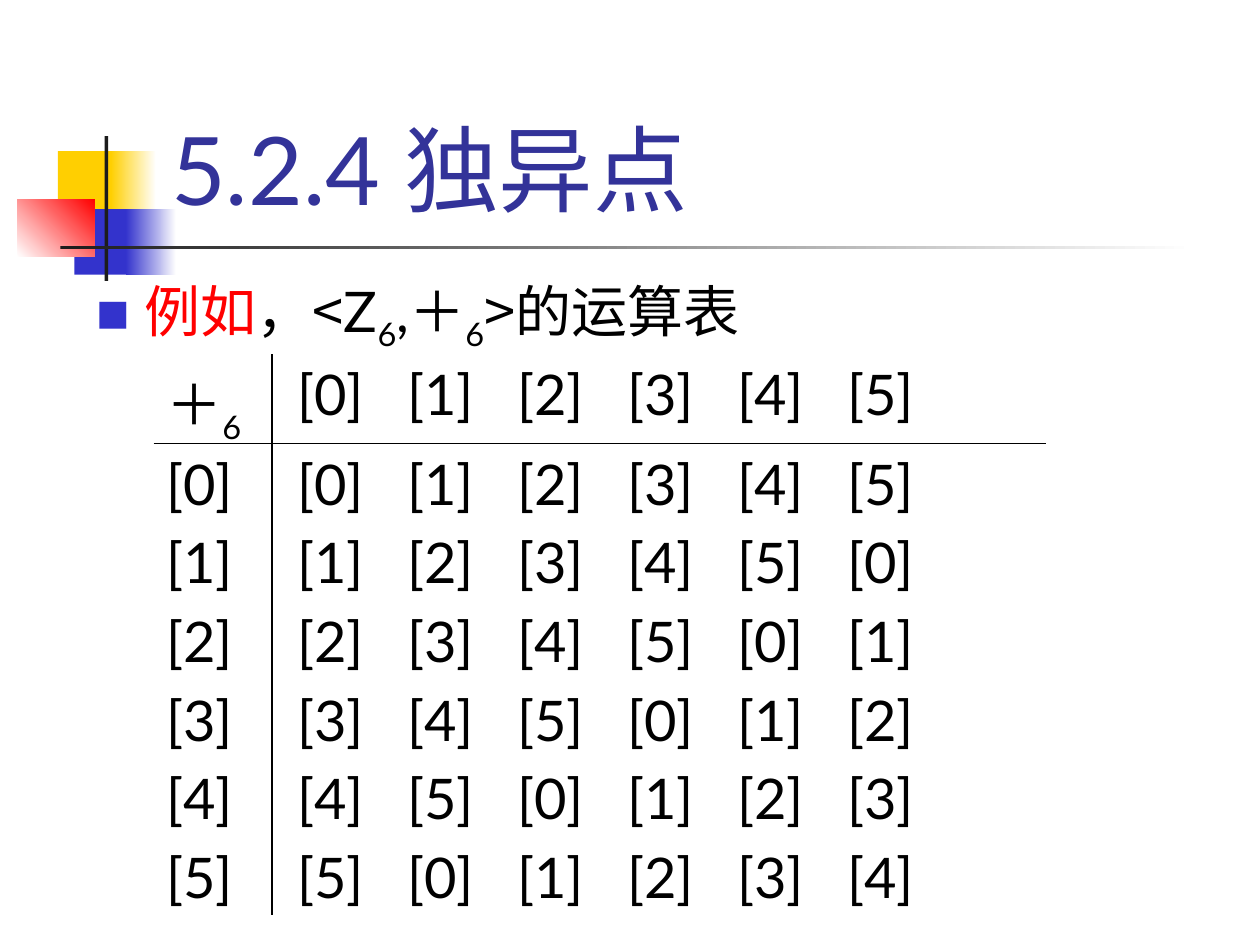
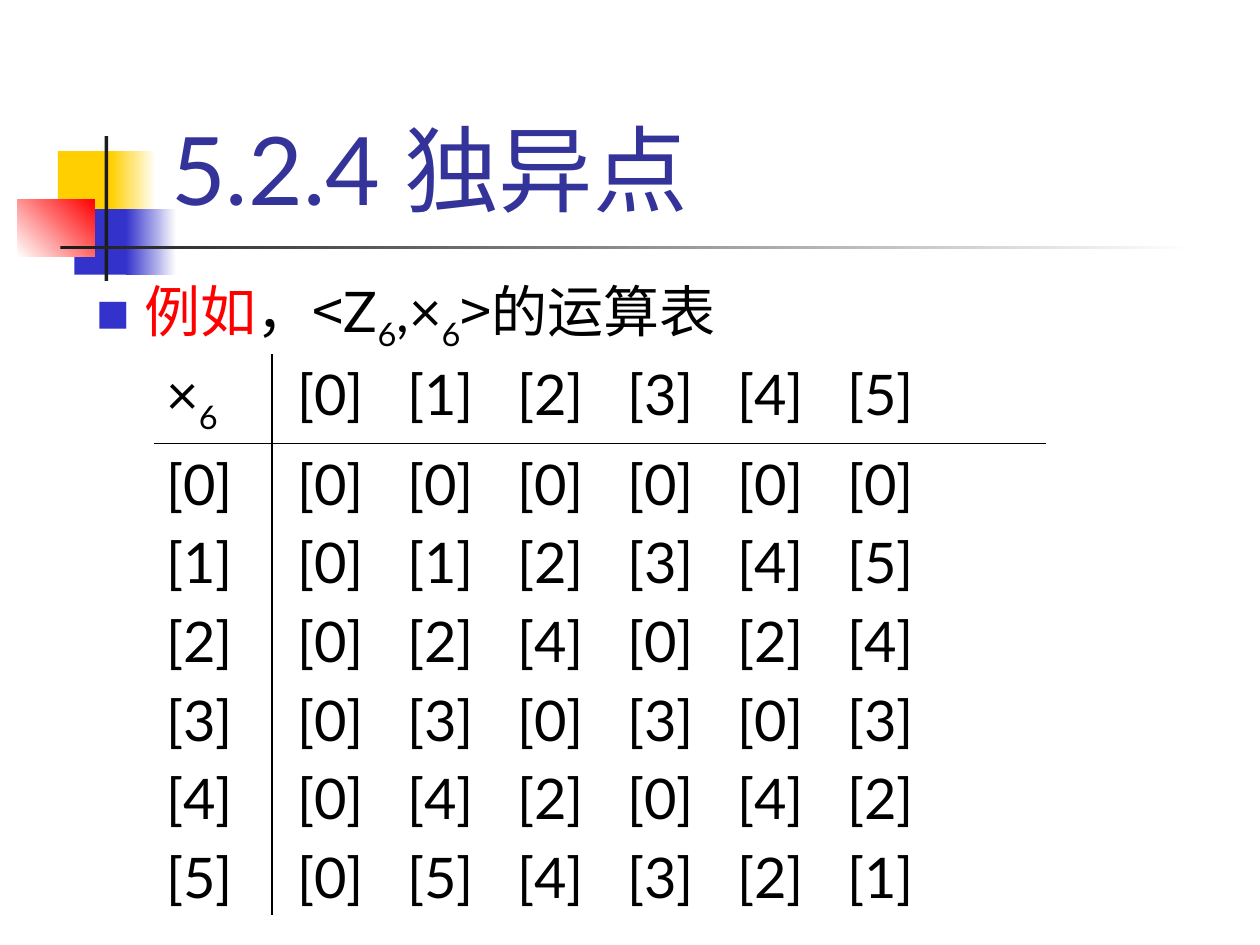
import dataclasses

import lxml.etree
import pptx
import pptx.dml.color
import pptx.enum.shapes
import pptx.enum.text
import pptx.oxml
import pptx.oxml.ns
import pptx.util

Inches, Pt = pptx.util.Inches, pptx.util.Pt
qn = pptx.oxml.ns.qn


@dataclasses.dataclass(frozen=True)
class Theme:
    latin: str = "Lato"
    chinese: str = "Noto Sans CJK SC"
    title: str = "333399"
    text: str = "000000"
    accent: str = "FF0000"
    yellow: str = "FFCF01"
    blue: str = "3333CC"
    dark: str = "1C1C1C"
    white: str = "FFFFFF"
    title_size: float = 54
    body_size: float = 32
    row_gap: float = 6.4


theme = Theme()


def add_run(paragraph, text, color=theme.text, size=theme.body_size, font=theme.latin, subscript=False):
    run = paragraph.add_run()
    run.text = text
    run.font.size = Pt(size)
    run.font.name = font
    run.font.color.rgb = pptx.dml.color.RGBColor.from_string(color)
    properties = run.font._element
    lxml.etree.SubElement(properties, qn("a:ea"), typeface=theme.chinese)
    if subscript:
        properties.set("baseline", "-25000")


def add_properties(parent, xml):
    """Append drawing elements, given as XML text, to parent in order."""
    namespace = pptx.oxml.ns.nsdecls("a")
    for element in list(pptx.oxml.parse_xml(f"<a:group {namespace}>{xml}</a:group>")):
        parent.append(element)


# left, top, width, height, first colour, last colour, gradient angle
decorations = [
    (0.46, 1.2, 0.48, 0.52, theme.yellow, None, 0),
    (0.88, 1.2, 0.36, 0.52, theme.yellow, theme.white, 0),
    (0.59, 1.66, 0.46, 0.52, theme.blue, None, 0),
    (1, 1.66, 0.4, 0.52, theme.blue, theme.white, 0),
    (0.14, 1.58, 0.61, 0.46, theme.white, theme.accent, 45),
    (0.83, 1.08, 0.03, 1.15, theme.dark, None, 0),
    (0.48, 1.95, 9, 0.03, theme.dark, theme.white, 0),
]

order = 6
operations = [
    ("＋", lambda a, b: (a + b) % order),
    ("×", lambda a, b: (a * b) % order),
]
column_start, column_pitch = 0.1, 0.873
column_tabs = "".join(
    f'<a:tab pos="{Inches(column_start + column_pitch * column)}" algn="l"/>' for column in range(order)
)
# Inner edges of the four table cells
cell_edges = {(0, 0): "RB", (0, 1): "LB", (1, 0): "RT", (1, 1): "LT"}

deck = pptx.Presentation()
deck.slide_width, deck.slide_height = Inches(10), Inches(7.5)

for operator, operate in operations:
    slide = deck.slides.add_slide(deck.slide_layouts[6])

    for left, top, width, height, first, last, angle in decorations:
        block = slide.shapes.add_shape(
            pptx.enum.shapes.MSO_SHAPE.RECTANGLE, Inches(left), Inches(top), Inches(width), Inches(height)
        )
        block.shadow.inherit = False
        block.line.fill.background()
        if last:
            block.fill.gradient()
            block.fill.gradient_angle = angle
            for stop, color in zip(block.fill.gradient_stops, (first, last)):
                stop.color.rgb = pptx.dml.color.RGBColor.from_string(color)
        else:
            block.fill.solid()
            block.fill.fore_color.rgb = pptx.dml.color.RGBColor.from_string(first)

    example = slide.shapes.add_textbox(Inches(0.67), Inches(2.02), Inches(9.33), Inches(5.48)).text_frame
    example.word_wrap = True
    sentence = example.paragraphs[0]
    sentence.line_spacing = 1.2
    indent = sentence._p.get_or_add_pPr()
    indent.set("marL", str(Inches(0.38)))
    indent.set("indent", str(Inches(-0.38)))
    add_properties(
        indent,
        f'<a:buClr><a:srgbClr val="{theme.blue}"/></a:buClr><a:buSzPct val="60000"/>'
        f'<a:buFont typeface="{theme.chinese}"/><a:buChar char="■"/>',
    )
    add_run(sentence, "例如", color=theme.accent)
    add_run(sentence, "，")
    add_run(sentence, "<", font=theme.chinese)
    add_run(sentence, "Z")
    add_run(sentence, "6", subscript=True)
    add_run(sentence, f",{operator}")
    add_run(sentence, "6", subscript=True)
    add_run(sentence, ">的运算表", font=theme.chinese)

    table = slide.shapes.add_table(2, 2, Inches(1.22), Inches(2.81), Inches(7.08), Inches(4.31)).table
    table.first_row = table.horz_banding = False
    table.columns[0].width, table.columns[1].width = Inches(0.94), Inches(6.14)
    table.rows[0].height, table.rows[1].height = Inches(0.71), Inches(3.6)

    corner = table.cell(0, 0).text_frame.paragraphs[0]
    add_run(corner, operator)
    add_run(corner, "6", subscript=True)

    elements = range(order)
    cell_lines = {
        (0, 1): [elements],
        (1, 0): [[a] for a in elements],
        (1, 1): [[operate(a, b) for b in elements] for a in elements],
    }
    for (row, column), lines in cell_lines.items():
        frame = table.cell(row, column).text_frame
        for number, values in enumerate(lines):
            paragraph = frame.add_paragraph() if number else frame.paragraphs[0]
            if number:
                paragraph.space_before = Pt(theme.row_gap)
            if column:
                add_properties(paragraph._p.get_or_add_pPr(), f"<a:tabLst>{column_tabs}</a:tabLst>")
            lead = "\t" if column else ""
            add_run(paragraph, "".join(f"{lead}[{value}]" for value in values))

    for (row, column), inner_edges in cell_edges.items():
        cell = table.cell(row, column)
        edges = ""
        for edge in "LRTB":
            paint = "<a:noFill/>"
            if edge in inner_edges:
                paint = f'<a:solidFill><a:srgbClr val="{theme.text}"/></a:solidFill>'
            edges += f'<a:ln{edge} w="{Pt(1)}">{paint}</a:ln{edge}>'
        add_properties(cell._tc.get_or_add_tcPr(), edges)
        cell.fill.background()

    heading = slide.shapes.add_textbox(Inches(1.26), Inches(0.23), Inches(8.52), Inches(1.6)).text_frame
    heading.word_wrap = True
    heading.vertical_anchor = pptx.enum.text.MSO_ANCHOR.BOTTOM
    add_run(heading.paragraphs[0], "5.2.4 独异点", color=theme.title, size=theme.title_size)

deck.save("out.pptx")
